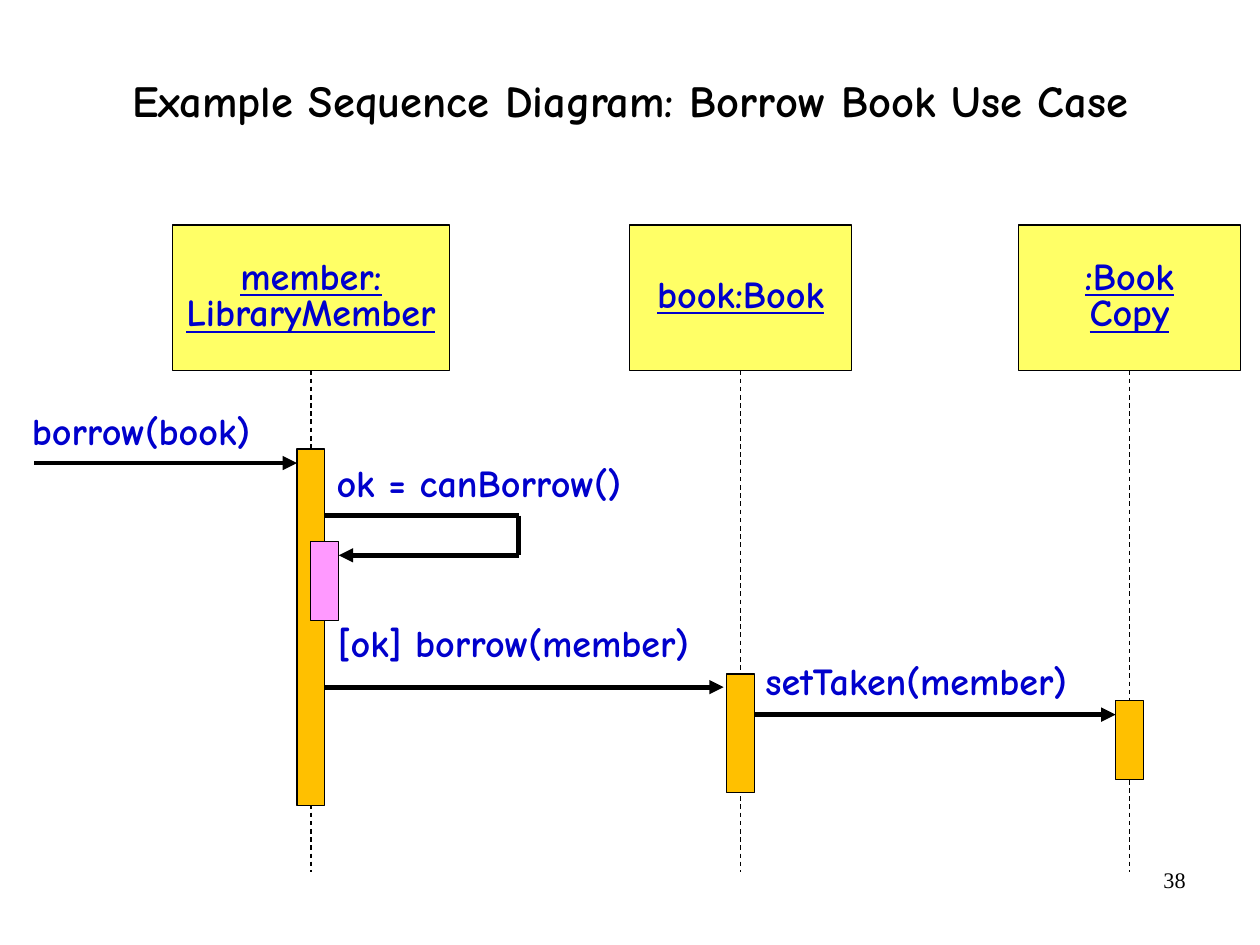
from pptx import Presentation
from pptx.dml.color import RGBColor as RGB
from pptx.enum.dml import MSO_LINE as Dash
from pptx.enum.shapes import MSO_CONNECTOR as Link, MSO_SHAPE as Shape
from pptx.enum.text import MSO_ANCHOR as Anchor, PP_ALIGN as Align
from pptx.oxml.ns import qn
from pptx.util import Cm, Pt
from lxml.etree import SubElement

HUES = {"ink": "000000", "text": "0000CC", "head": "FFFF66",
        "bar": "FFC000", "nested": "FF99FF"}
FONT = "Comic Neue"
TOP, HIGH, END = 5, 3.23, 19.38
BAR = 0.62
MEMBER, BOOK, COPY = 6.91, 16.46, 25.1


def hue(name):
    return RGB.from_string(HUES[name])


def write(frame, text, size=24, color="text", font=FONT, bold=True,
          under=None, align=Align.LEFT, space=0.8):
    """Fill a frame with one paragraph; newlines become line breaks."""
    para = frame.paragraphs[0]
    para.alignment = align
    para.line_spacing = space
    for i, line in enumerate(text.split("\n")):
        if i:
            para.add_line_break()
        run = para.add_run()
        run.text = line
        run.font.name = font
        run.font.size = Pt(size)
        run.font.bold = bold
        run.font.underline = under
        run.font.color.rgb = hue(color)


def label(slide, text, x, y, w, h, **style):
    box = slide.shapes.add_textbox(Cm(x), Cm(y), Cm(w), Cm(h))
    box.text_frame.word_wrap = True
    write(box.text_frame, text, **style)
    return box.text_frame


def rect(slide, mid, y, w, h, fill):
    """Draw an outlined rectangle centred on the x position mid."""
    box = slide.shapes.add_shape(Shape.RECTANGLE, Cm(mid - w / 2), Cm(y),
                                 Cm(w), Cm(h))
    box.shadow.inherit = False
    box.fill.solid()
    box.fill.fore_color.rgb = hue(fill)
    box.line.color.rgb = hue("ink")
    box.line.width = Pt(0.75)
    return box


def line(slide, x1, y1, x2, y2, width=3, arrow=False):
    link = slide.shapes.add_connector(Link.STRAIGHT, Cm(x1), Cm(y1),
                                      Cm(x2), Cm(y2))
    link.line.color.rgb = hue("ink")
    link.line.width = Pt(width)
    if arrow:
        SubElement(link.line._get_or_add_ln(), qn("a:tailEnd"),
                   type="triangle")
    SubElement(link._element.spPr, qn("a:effectLst"))
    return link


def object_head(slide, text, mid, w):
    """Draw an object's box with its dashed lifeline."""
    box = rect(slide, mid, TOP, w, HIGH, "head")
    frame = box.text_frame
    frame.word_wrap = False
    frame.vertical_anchor = Anchor.MIDDLE
    write(frame, text, under=True, align=Align.CENTER)
    life = line(slide, mid, TOP + HIGH, mid, END, width=0.75)
    life.line.dash_style = Dash.DASH
    life.begin_connect(box, 2)


def self_call(slide, x1, x2, far, y1, y2):
    line(slide, x1, y1, far, y1)
    line(slide, far, y1, far, y2)
    line(slide, far, y2, x2, y2, arrow=True)


def main():
    deck = Presentation()
    deck.slide_width, deck.slide_height = Cm(28), Cm(21)
    slide = deck.slides.add_slide(deck.slide_layouts[6])

    title = label(slide, "Example Sequence Diagram: Borrow Book Use Case",
                  1.42, 0.56, 25.17, 3.48, size=28, color="ink",
                  align=Align.CENTER, space=0.88)
    title.vertical_anchor = Anchor.MIDDLE
    title.margin_left = title.margin_right = 0
    title.margin_top = title.margin_bottom = 0
    label(slide, "38", 20.07, 19.13, 6.53, 1.45, size=14, color="ink",
          font="Times New Roman", bold=False, align=Align.RIGHT, space=1)

    for text, mid, w in (("member:\nLibraryMember", MEMBER, 6.15),
                         ("book:Book", BOOK, 4.93),
                         (":Book\nCopy", COPY, 4.93)):
        object_head(slide, text, mid, w)

    half = BAR / 2
    for mid, y, h, fill in ((MEMBER, 9.98, 7.92, "bar"),
                            (MEMBER + half, 12.04, 1.75, "nested"),
                            (BOOK, 14.98, 2.64, "bar"),
                            (COPY, 15.57, 1.75, "bar")):
        rect(slide, mid, y, BAR, h, fill)

    for x1, x2, y in ((0.76, MEMBER - half, 10.29),
                      (MEMBER + half, BOOK - half - 0.07, 15.27),
                      (BOOK + half, COPY - half, 15.88)):
        line(slide, x1, y, x2, y, arrow=True)
    self_call(slide, MEMBER + half, MEMBER + BAR, 11.53, 11.46, 12.34)

    for text, x, y, w in (("borrow(book)", 0.46, 9.12, 6.1),
                          ("ok = canBorrow()", 7.23, 10.29, 7.44),
                          ("[ok] borrow(member)", 7.26, 13.83, 9.55),
                          ("setTaken(member)", 16.76, 14.68, 8.48)):
        label(slide, text, x, y, w, 1.09)

    deck.save("out.pptx")


if __name__ == "__main__":
    main()
